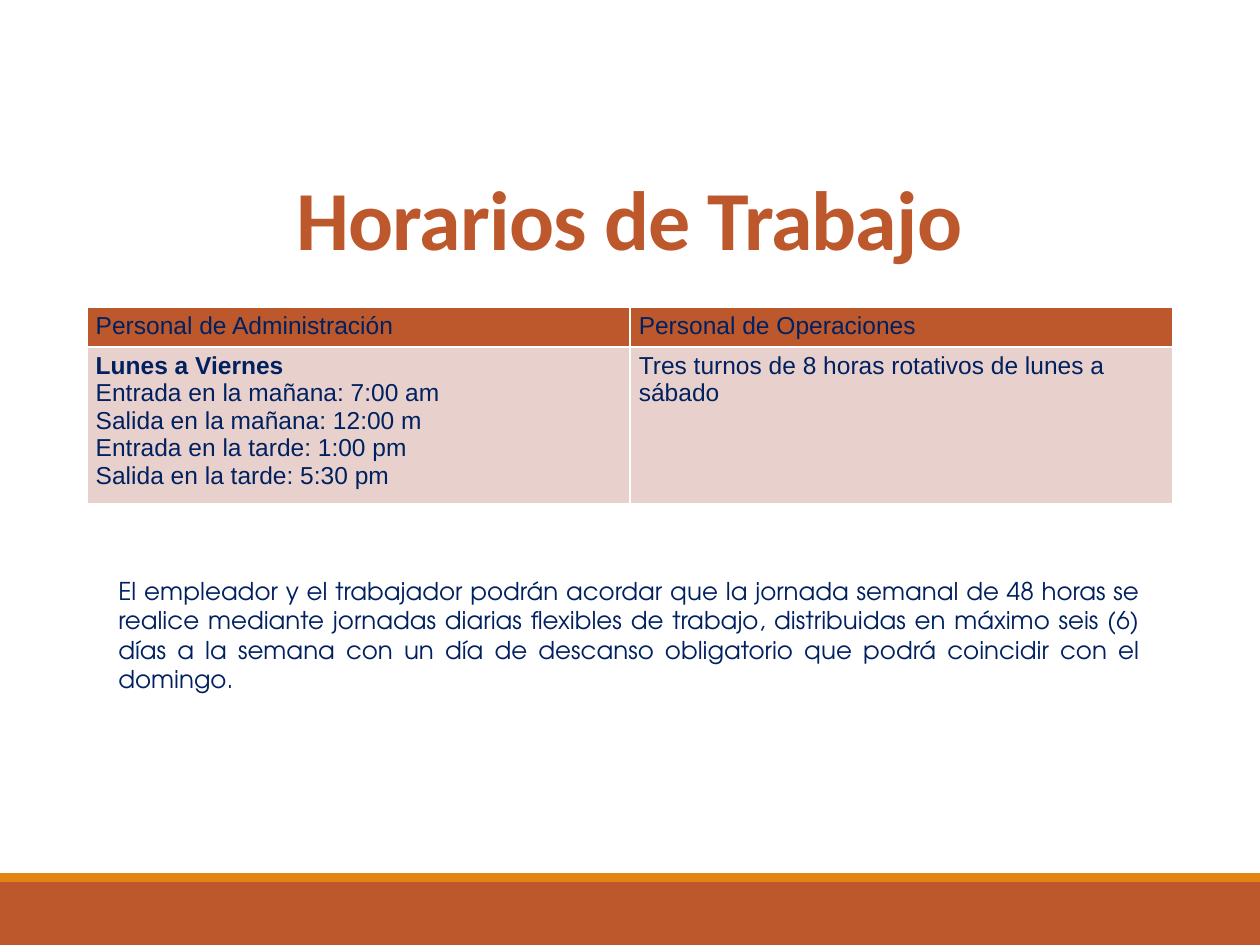
import pptx
import pptx.util
import pptx.dml.color
import pptx.enum.shapes
import pptx.enum.text
import pptx.oxml
import pptx.oxml.ns

Inches, Pt = pptx.util.Inches, pptx.util.Pt
ALIGN = pptx.enum.text.PP_ALIGN
ANCHOR = pptx.enum.text.MSO_ANCHOR

# Content
TITLE = "Horarios de Trabajo"
SCHEDULE = [
    ("Personal de Administración", "Personal de Operaciones"),
    (
        "Lunes a Viernes\n"
        "Entrada en la mañana: 7:00 am\n"
        "Salida en la mañana: 12:00 m\n"
        "Entrada en la tarde: 1:00 pm\n"
        "Salida en la tarde: 5:30 pm",
        "Tres turnos de 8 horas rotativos de lunes a sábado",
    ),
]
BOLD_LINES = {"Lunes a Viernes"}
NOTE = (
    "El empleador y el trabajador podrán acordar que la jornada semanal de 48 horas "
    "se realice mediante jornadas diarias flexibles de trabajo, distribuidas en máximo "
    "seis (6) días a la semana con un día de descanso obligatorio que podrá coincidir "
    "con el domingo."
)


class Theme:
    rust, orange, navy = "BD582C", "E48312", "002060"
    blush, white = "E8D1CD", "FFFFFF"
    title_font, table_font, note_font = "Calibri", "Arial", "TeX Gyre Adventor"
    title_size, body_size = 48, 14


PAGE_WIDTH, PAGE_HEIGHT = 10, 7.5
FOOTER_HEIGHT, STRIPE_HEIGHT = 0.5, 0.07
ROW_HEIGHTS = (0.31, 1.24)
COLUMN_WIDTH = 4.31


def rgb(value):
    return pptx.dml.color.RGBColor.from_string(value)


def style(para, font_name, size, color, bold=False):
    for span in para.runs:
        span.font.name, span.font.size, span.font.bold = font_name, Pt(size), bold
        span.font.color.rgb = rgb(color)


def add_band(page, top, height, color):
    band = page.shapes.add_shape(
        pptx.enum.shapes.MSO_SHAPE.RECTANGLE,
        0, Inches(top), Inches(PAGE_WIDTH), Inches(height))
    band.shadow.inherit = False
    band.fill.solid()
    band.fill.fore_color.rgb = rgb(color)
    band.line.fill.background()


def add_text(page, area, text, align, anchor):
    box = page.shapes.add_textbox(*map(Inches, area))
    box.text_frame.word_wrap = True
    box.text_frame.vertical_anchor = anchor
    box.text_frame.text = text
    para = box.text_frame.paragraphs[0]
    para.alignment = align
    return para


def set_borders(cell, color, width):
    properties = cell._tc.get_or_add_tcPr()
    for position, side in enumerate(("lnL", "lnR", "lnT", "lnB")):
        properties.insert(position, pptx.oxml.parse_xml(
            f'<a:{side} {pptx.oxml.ns.nsdecls("a")} w="{Pt(width)}">'
            f'<a:solidFill><a:srgbClr val="{color}"/></a:solidFill></a:{side}>'))


def add_schedule(page):
    table = page.shapes.add_table(
        len(SCHEDULE), len(SCHEDULE[0]), Inches(0.69), Inches(2.44),
        Inches(COLUMN_WIDTH * len(SCHEDULE[0])), Inches(sum(ROW_HEIGHTS))).table
    for column in table.columns:
        column.width = Inches(COLUMN_WIDTH)
    for row_index, texts in enumerate(SCHEDULE):
        table.rows[row_index].height = Inches(ROW_HEIGHTS[row_index])
        for column_index, text in enumerate(texts):
            cell = table.cell(row_index, column_index)
            cell.margin_left = cell.margin_right = Inches(0.07)
            cell.margin_top = cell.margin_bottom = Inches(0.04)
            cell.fill.solid()
            cell.fill.fore_color.rgb = rgb(Theme.blush if row_index else Theme.rust)
            set_borders(cell, Theme.white, 1)
            cell.text_frame.text = text
            for para in cell.text_frame.paragraphs:
                style(para, Theme.table_font, Theme.body_size, Theme.navy,
                      para.text in BOLD_LINES)


def main():
    deck = pptx.Presentation()
    deck.slide_width, deck.slide_height = Inches(PAGE_WIDTH), Inches(PAGE_HEIGHT)
    page = deck.slides.add_slide(deck.slide_layouts[6])

    # Footer bands
    footer_top = PAGE_HEIGHT - FOOTER_HEIGHT
    add_band(page, footer_top, FOOTER_HEIGHT, Theme.rust)
    add_band(page, footer_top - STRIPE_HEIGHT, STRIPE_HEIGHT, Theme.orange)

    # Title
    title = add_text(page, (0.87, 1.35, 8.25, 0.82), TITLE, ALIGN.CENTER, ANCHOR.BOTTOM)
    title.line_spacing = 0.85
    style(title, Theme.title_font, Theme.title_size, Theme.rust, bold=True)
    title.runs[0].font._element.set("spc", "-50")

    # Schedule table
    add_schedule(page)

    # Note below the table
    note = add_text(page, (0.84, 4.52, 8.31, 1.04), NOTE, ALIGN.JUSTIFY, ANCHOR.TOP)
    style(note, Theme.note_font, Theme.body_size, Theme.navy)

    deck.save("out.pptx")


if __name__ == "__main__":
    main()
